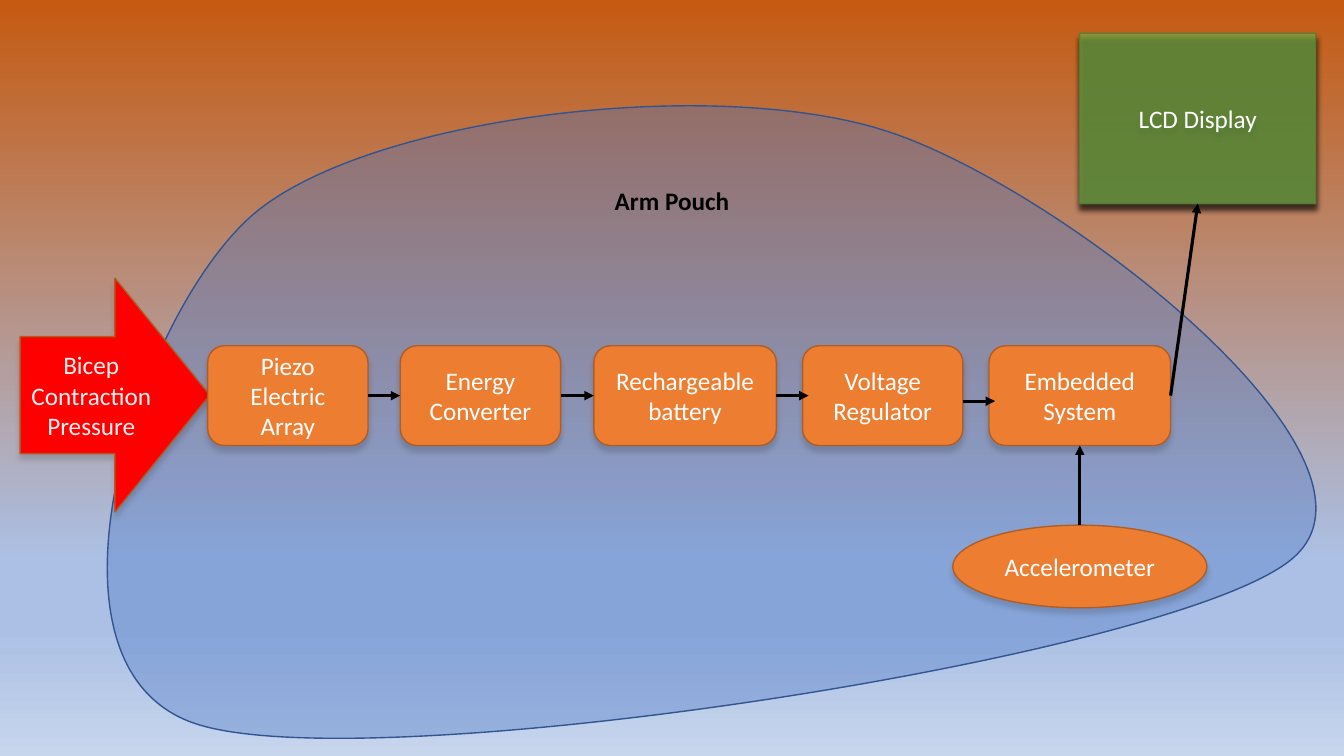
from lxml.etree import SubElement
from pptx import Presentation
from pptx.dml.color import RGBColor
from pptx.enum.shapes import MSO_CONNECTOR, MSO_SHAPE
from pptx.enum.text import MSO_ANCHOR, PP_ALIGN
from pptx.oxml.ns import qn
from pptx.util import Inches, Pt

WIDE, HIGH = 13.33, 7.5
SKY = [(0, "C55A11"), (74, "ABC0E4"), (83, "ABC0E4"), (100, "C7D5ED")]
POUCH = (1.07, 1.05, 11.99, 6.27)
START = (2.52, 2.12)
CURVES = [
    ((3.67, 1.15), (7.11, 0.74), (8.82, 1.31)),
    ((10.54, 1.88), (13.97, 4.56), (12.82, 5.54)),
    ((11.68, 6.52), (3.65, 7.75), (1.94, 7.18)),
    ((0.22, 6.61), (1.37, 3.1), START),
]
ROW, TALL = 3.43, 0.99
MID = ROW + TALL / 2
STAGES = [
    ("Piezo Electric Array", 2.06, 1.59),
    ("Energy Converter", 3.97, 1.59),
    ("Rechargeable battery", 5.89, 1.81),
    ("Voltage Regulator", 7.96, 1.59),
    ("Embedded System", 9.81, 1.8),
]
ORANGE, RUST, WHITE = "ED7D31", "AF5C24", "FFFFFF"
TOP, LEFT, BOTTOM, RIGHT = range(4)


def paint(fill, color, alpha=100):
    fill.solid()
    fill.fore_color.rgb = RGBColor.from_string(color)
    if alpha < 100:
        node = fill._xPr.find(qn("a:solidFill"))[0]
        SubElement(node, qn("a:alpha"), val=str(alpha * 1000))


def write(shape, text, color, bold=False):
    frame = shape.text_frame
    frame.word_wrap = True
    frame.text = text
    para = frame.paragraphs[0]
    para.alignment = PP_ALIGN.CENTER
    font = para.runs[0].font
    font.name, font.size, font.bold = "Calibri", Pt(18), bold
    paint(font.fill, color)


def shade(shape, alpha):
    shape.shadow.inherit = False
    glow = SubElement(
        shape._element.spPr.find(qn("a:effectLst")), qn("a:outerShdw"),
        blurRad=str(Pt(4)), dist=str(Pt(4)), dir="5400000",
        algn="ctr", rotWithShape="0")
    tint = SubElement(glow, qn("a:srgbClr"), val="000000")
    SubElement(tint, qn("a:alpha"), val=str(alpha * 1000))


def block(kind, text, place, color=ORANGE, edge=RUST, ink=WHITE,
          alpha=100, rim=94, dark=14):
    shape = slide.shapes.add_shape(kind, *map(Inches, place))
    paint(shape.fill, color, alpha)
    paint(shape.line.fill, edge, rim)
    shape.line.width = Pt(1)
    shade(shape, dark)
    write(shape, text, ink)
    shape.text_frame.vertical_anchor = MSO_ANCHOR.MIDDLE
    return shape


def arrow(start, end):
    line = slide.shapes.add_connector(
        MSO_CONNECTOR.STRAIGHT, *map(Inches, (*start, *end)))
    paint(line.line.fill, "000000")
    line.line.width = Pt(2.25)
    SubElement(line.line._ln, qn("a:tailEnd"), type="triangle")
    SubElement(line._element.spPr, qn("a:effectLst"))
    return line


def link(first, out, last, into):
    line = arrow((0, 0), (1, 1))
    line.begin_connect(first, out)
    line.end_connect(last, into)


def bend(shape, place, start, curves):
    left, top, wide, high = map(Inches, place)
    shape.left, shape.top, shape.width, shape.height = left, top, wide, high
    track = shape._element.find(".//" + qn("a:path"))
    for node in list(track):
        track.remove(node)
    track.set("w", str(wide))
    track.set("h", str(high))
    moves = [("a:moveTo", [start])]
    moves += [("a:cubicBezTo", curve) for curve in curves]
    for tag, spots in moves + [("a:close", [])]:
        node = SubElement(track, qn(tag))
        for x, y in spots:
            SubElement(node, qn("a:pt"), x=str(Inches(x) - left),
                       y=str(Inches(y) - top))


deck = Presentation()
deck.slide_width, deck.slide_height = Inches(WIDE), Inches(HIGH)
slide = deck.slides.add_slide(deck.slide_layouts[6])

back = slide.background.fill
back.gradient()
back.gradient_angle = 270
stops = slide._element.find(".//" + qn("a:gsLst"))
for stop in list(stops):
    stops.remove(stop)
for spot, color in SKY:
    stop = SubElement(stops, qn("a:gs"), pos=str(spot * 1000))
    SubElement(stop, qn("a:srgbClr"), val=color)

form = slide.shapes.build_freeform(*map(Inches, START))
form.add_line_segments([tuple(map(Inches, curve[-1])) for curve in CURVES])
pouch = form.convert_to_shape()
bend(pouch, POUCH, START, CURVES)
paint(pouch.fill, "4472C4", 35)
paint(pouch.line.fill, "325491")
pouch.line.width = Pt(1)
pouch.shadow.inherit = False

title = slide.shapes.add_textbox(*map(Inches, (4.66, 1.79, 4.01, 0.4)))
write(title, "Arm Pouch", "000000", True)

block(MSO_SHAPE.RIGHT_ARROW, "Bicep Contraction Pressure",
      (0.2, 2.76, 1.88, 2.32), "FF0000", ink="F2F2F2")
piezo, energy, battery, voltage, system = [
    block(MSO_SHAPE.ROUNDED_RECTANGLE, text, (x, ROW, wide, TALL))
    for text, x, wide in STAGES]
meter = block(MSO_SHAPE.OVAL, "Accelerometer", (9.45, 5.21, 2.52, 0.82))
screen = block(MSO_SHAPE.RECTANGLE, "LCD Display", (10.71, 0.33, 2.34, 1.69),
               "70AD47", "538035", alpha=69, rim=87, dark=96)

link(piezo, RIGHT, energy, LEFT)
link(energy, RIGHT, battery, LEFT)
link(system, RIGHT, screen, BOTTOM)
arrow((7.7, MID), (8.02, MID)).begin_connect(battery, RIGHT)
arrow((9.55, 3.98), (9.87, 3.98))
link(meter, TOP, system, BOTTOM)

deck.save("out.pptx")
